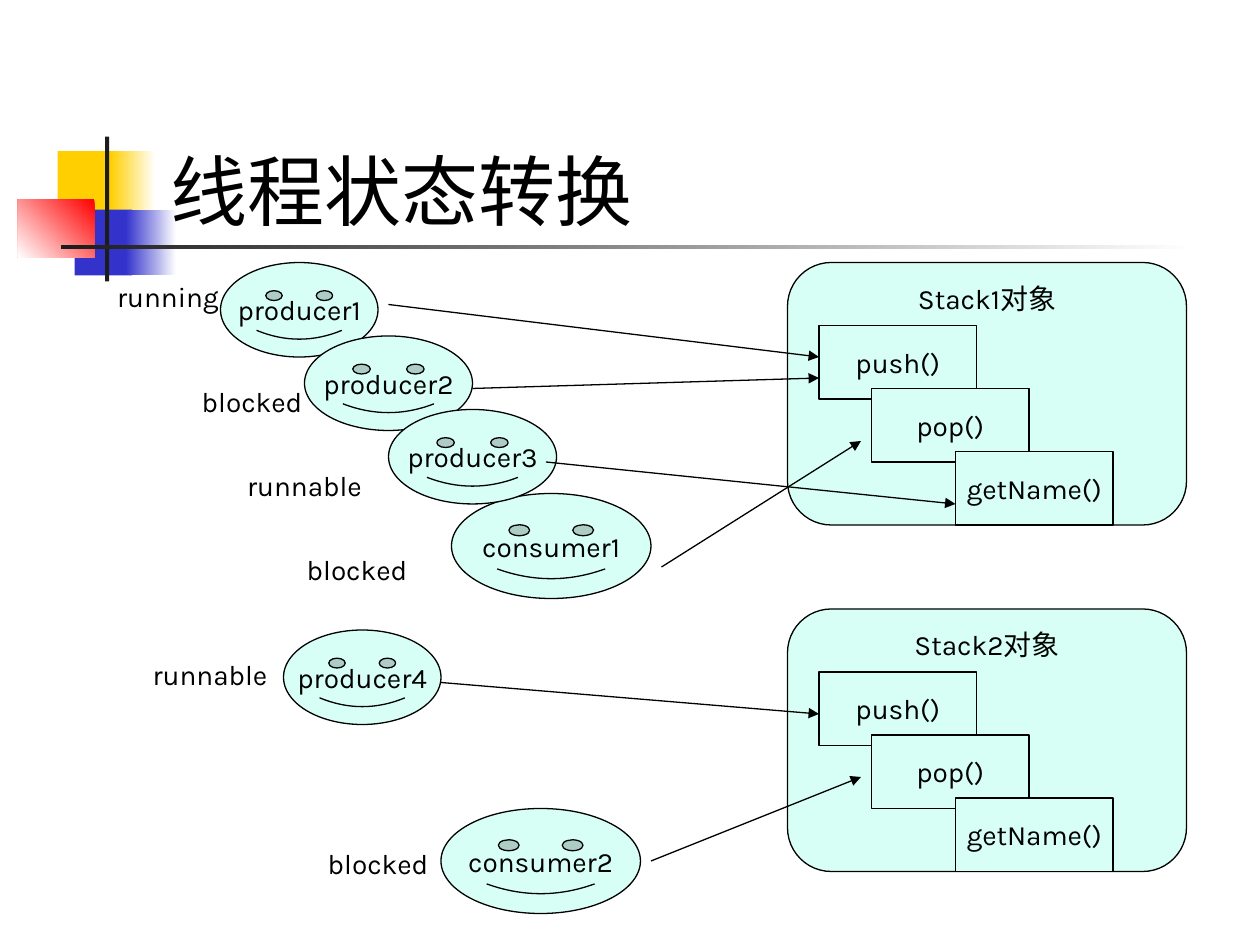
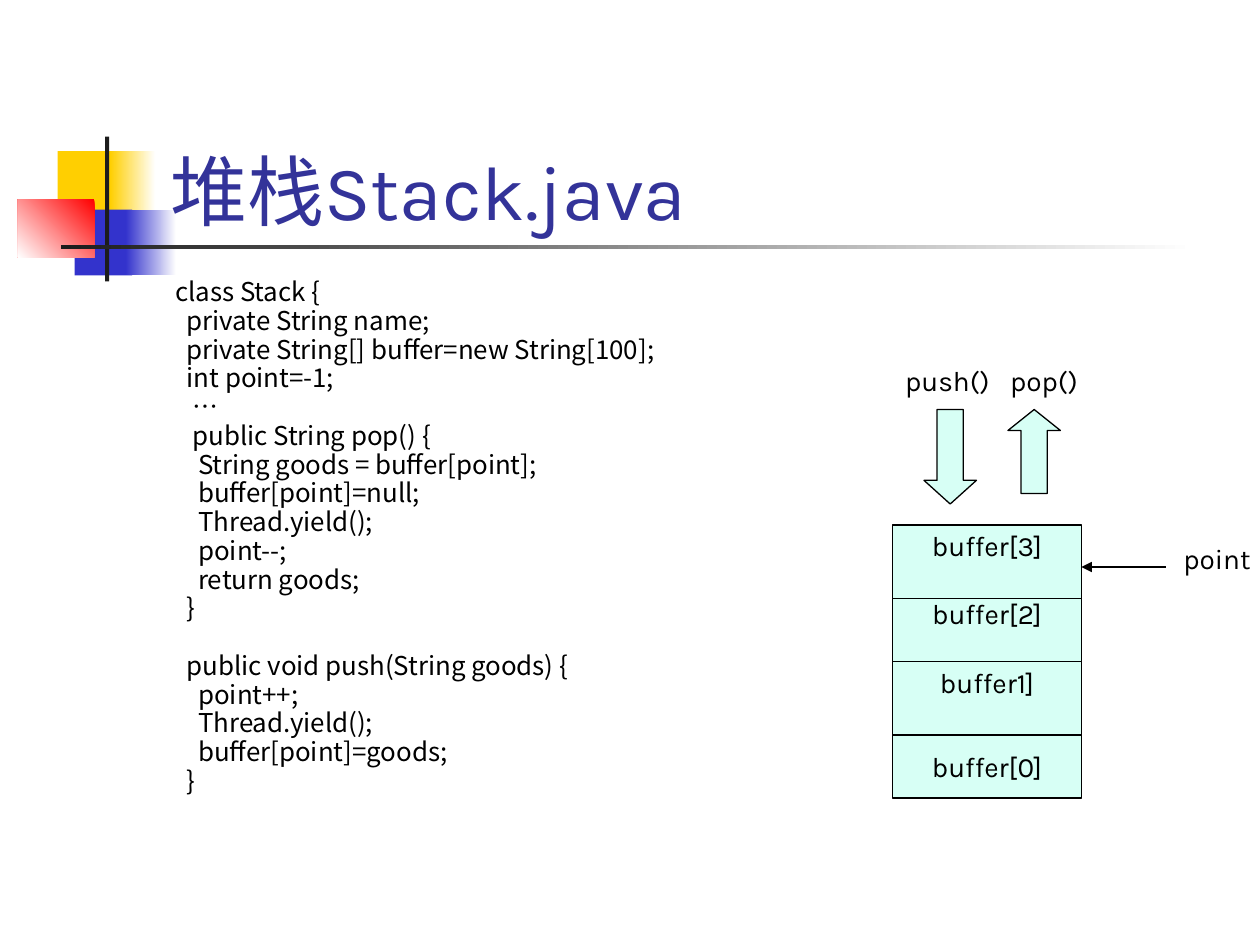
from lxml import etree
from pptx import Presentation, util as u
from pptx.dml.color import RGBColor
from pptx.enum import shapes, text
from pptx.oxml.ns import qn

BLACK, WHITE, MINT, NAVY = "000000", "FFFFFF", "D7FFF5", "333399"
GOLD, BLUE, RED, DARK = "FFCF01", "3333CC", "FF0000", "1C1C1C"
SANS, CODE = "Karla", "Noto Sans CJK SC"
SHAPE, ALIGN, ANCHOR = shapes.MSO_SHAPE, text.PP_ALIGN, text.MSO_ANCHOR
COLS, ROWS = 120, 90  # grid of the whole slide

# Shared bands: left, top, width, height, colour, fade angle (None is plain)
BANDS = [
    (5.5, 14.4, 5.8, 6.25, GOLD, None),
    (10.5, 14.4, 4.3, 6.25, GOLD, 0),
    (7.1, 19.97, 5.5, 6.25, BLUE, None),
    (12, 19.97, 4.8, 6.25, BLUE, 0),
    (1.7, 19, 7.3, 5.5, RED, 225),
    (10, 13, 0.4, 13.8, DARK, None),
    (5.8, 23.35, 108, 0.4, DARK, 0),
]

SOURCE = """class Stack {
  private String name;
  private String[] buffer=new String[100];
  int point=-1;
   …
   public String pop() {
    String goods = buffer[point];
    buffer[point]=null;
    Thread.yield();
    point--;
    return goods;
  }

  public void push(String goods) {
    point++;
    Thread.yield();
    buffer[point]=goods;
  }"""


def rgb(code):
    return RGBColor.from_string(code)


class Deck:
    def __init__(self):
        self.prs = Presentation()
        self.prs.slide_width, self.prs.slide_height = u.Inches(10), u.Inches(7.5)
        self.slide = None

    def grid(self, *nums):
        """Turn column, row, column, row ... into slide lengths."""
        steps = self.prs.slide_width / COLS, self.prs.slide_height / ROWS
        return [round(n * steps[i % 2]) for i, n in enumerate(nums)]

    def style(self, par, size=16, color=BLACK, face=SANS, align=ALIGN.CENTER):
        par.alignment = align
        font = par.font
        font.name, font.size, font.color.rgb = face, u.Pt(size), rgb(color)

    def page(self, title, color):
        self.slide = self.prs.slides.add_slide(self.prs.slide_layouts[5])
        for *box, tint, angle in BANDS:
            self.band(box, tint, angle)
        head = self.slide.shapes.title
        head.left, head.top, head.width, head.height = self.grid(15, 8.1, 102.2, 15)
        frame = head.text_frame
        frame.text, frame.vertical_anchor = title, ANCHOR.BOTTOM
        frame.auto_size = text.MSO_AUTO_SIZE.NONE
        self.style(frame.paragraphs[0], 44, color, align=ALIGN.LEFT)
        self.slide.shapes._spTree.append(head._element)  # in front of the bands

    def band(self, box, color, angle):
        shape = self.slide.shapes.add_shape(SHAPE.RECTANGLE, *self.grid(*box))
        shape.shadow.inherit = False
        shape.line.fill.background()
        if angle is None:
            shape.fill.solid()
            shape.fill.fore_color.rgb = rgb(color)
        else:
            shape.fill.gradient()
            shape.fill.gradient_angle = angle
            for stop, tint in zip(shape.fill.gradient_stops, (color, WHITE)):
                stop.color.rgb = rgb(tint)

    def shape(self, kind, box, words="", anchor=ANCHOR.MIDDLE):
        shape = self.slide.shapes.add_shape(kind, *self.grid(*box))
        shape.shadow.inherit = False
        shape.fill.solid()
        shape.fill.fore_color.rgb = rgb(MINT)
        shape.line.color.rgb, shape.line.width = rgb(BLACK), u.Pt(0.75)
        if words:
            frame = shape.text_frame
            frame.text, frame.word_wrap = words, False
            frame.vertical_anchor = anchor
            self.style(frame.paragraphs[0])
        return shape

    def label(self, box, words, align=ALIGN.CENTER):
        frame = self.slide.shapes.add_textbox(*self.grid(*box)).text_frame
        frame.text, frame.word_wrap = words, True
        frame.margin_left = frame.margin_right = 0
        self.style(frame.paragraphs[0], align=align)

    def code(self, box, lines):
        frame = self.slide.shapes.add_textbox(*self.grid(*box)).text_frame
        frame.word_wrap = True
        par, gap = frame.paragraphs[0], 0
        for i, line in enumerate(lines):
            if not line:  # an empty code line becomes space
                gap = 20.5
                continue
            if i:
                par = frame.add_paragraph()
                par.space_before = u.Pt(gap or 4)
            par.text, par.line_spacing, gap = line, 0.7, 0
            self.style(par, 14.8, face=CODE, align=ALIGN.LEFT)

    def arrow(self, *ends):
        line = self.slide.shapes.add_connector(
            shapes.MSO_CONNECTOR.STRAIGHT, *self.grid(*ends))
        line.line.color.rgb, line.line.width = rgb(BLACK), u.Pt(0.75)
        props = line._element.spPr
        etree.SubElement(props.find(qn("a:ln")), qn("a:tailEnd"), type="triangle")
        etree.SubElement(props, qn("a:effectLst"))

    def stack(self, name, top):
        """An object with its three methods in steps."""
        self.shape(SHAPE.FLOWCHART_ALTERNATE_PROCESS, (75, top, 38, 25),
                   name, ANCHOR.TOP)
        for i, (left, call) in enumerate(
                [(78, "push()"), (83, "pop()"), (91, "getName()")]):
            self.shape(SHAPE.RECTANGLE, (left, top + 6 * (i + 1), 15, 7), call)


def states(deck):
    deck.page("线程状态转换", BLACK)
    deck.stack("Stack1对象", 25)
    deck.stack("Stack2对象", 58)

    # Threads
    for name, *box in [
        ("producer1", 21, 25, 15, 9),
        ("consumer1", 43, 47, 19, 10),
        ("producer2", 29, 32, 16, 9),
        ("producer3", 37, 39, 16, 9),
        ("producer4", 27, 60, 15, 9),
        ("consumer2", 42, 77, 19, 10),
    ]:
        deck.shape(SHAPE.SMILEY_FACE, box, name)

    # Calls
    for ends in [(37, 29, 78, 34), (45, 37, 78, 36), (52, 44, 91, 48),
                 (63, 54, 82, 42), (42, 65, 78, 68), (62, 82, 82, 74)]:
        deck.arrow(*ends)

    # Thread states
    for state, left, top in [
        ("running", 8, 26), ("blocked", 16, 36), ("runnable", 21, 44),
        ("blocked", 26, 52), ("runnable", 12, 62), ("blocked", 28, 80),
    ]:
        deck.label((left, top, 16, 4.4), state)


def buffer(deck):
    deck.page("堆栈Stack.java", NAVY)
    deck.code((15.5, 26.5, 68, 54), SOURCE.split("\n"))

    # Buffer cells, from the bottom up
    top = 76
    for name, high in [("buffer[0]", 6), ("buffer1]", 7),
                       ("buffer[2]", 6), ("buffer[3]", 7)]:
        top -= high
        cell = deck.shape(SHAPE.RECTANGLE, (85, top, 18, high), name)
        if name != "buffer[0]":  # raised by half a line
            cell.text_frame.margin_top = 0
            cell.text_frame.margin_bottom = u.Inches(0.26)

    # Push and pop
    for kind, left, high, head in [(SHAPE.UP_ARROW, 96, 8, 0.4),
                                   (SHAPE.DOWN_ARROW, 88, 9, 0.45)]:
        block = deck.shape(kind, (left, 39, 5, high))
        block.adjustments[1] = head
    for words, left, top, wide in [("push()", 86.2, 34, 9), ("pop()", 96.2, 34, 9),
                                   ("point", 112.7, 51, 7.3)]:
        deck.label((left, top, wide, 4.4), words, ALIGN.LEFT)
    deck.arrow(111, 54, 103, 54)


def main():
    deck = Deck()
    states(deck)
    buffer(deck)
    deck.prs.save("out.pptx")


if __name__ == "__main__":
    main()
